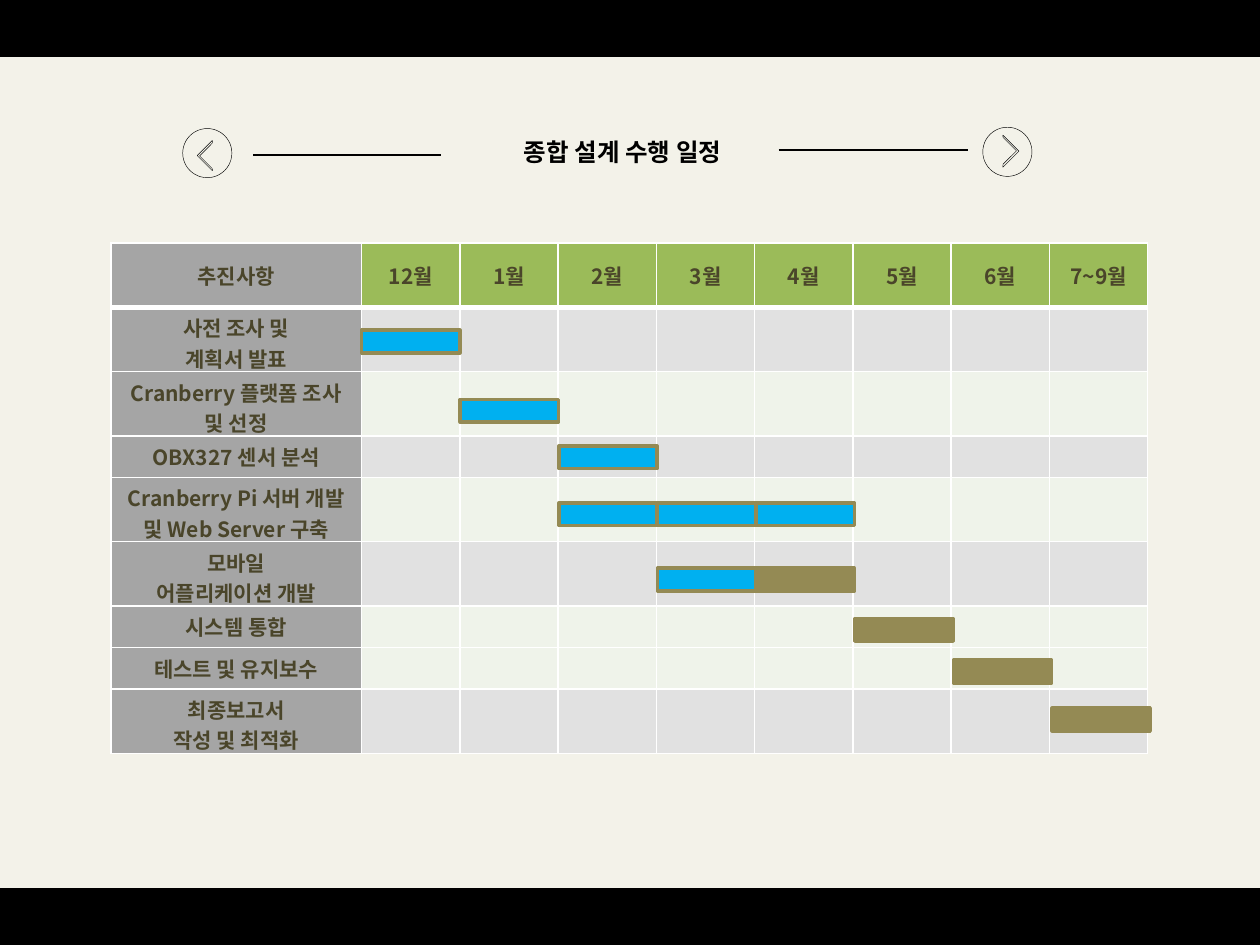
from lxml import etree
from pptx import Presentation
from pptx import util as u
from pptx.dml.color import RGBColor
from pptx.enum import shapes, text
from pptx.oxml.ns import qn

Inches = u.Inches
FONT = "Noto Sans CJK KR"
OLIVE, BLUE = "948A54", "00B0F0"
color = RGBColor.from_string


def set_font(paragraph, size, hex_color):
    font = paragraph.font
    font.size, font.bold, font.name = u.Pt(size), True, FONT
    font.color.rgb = color(hex_color)
    for run in paragraph.runs:
        run.font.size, run.font.bold, run.font.name = u.Pt(size), True, FONT
        run.font.color.rgb = color(hex_color)
        etree.SubElement(run.font._element, qn("a:ea"), typeface=FONT)


def add_box(kind, left, top, width, height, fill, line, line_width):
    shape = slide.shapes.add_shape(kind, Inches(left), Inches(top), Inches(width), Inches(height))
    shape.shadow.inherit = False
    if fill:
        shape.fill.solid()
        shape.fill.fore_color.rgb = color(fill)
    else:
        shape.fill.background()
    shape.line.color.rgb = color(line)
    shape.line.width = u.Pt(line_width)
    return shape


presentation = Presentation()
presentation.slide_width, presentation.slide_height = Inches(10), Inches(7.5)
slide = presentation.slides.add_slide(presentation.slide_layouts[6])
slide.background.fill.solid()
slide.background.fill.fore_color.rgb = color("F3F2E9")
kinds = shapes.MSO_SHAPE

# Black bands
for top in (0, 7.06):
    add_box(kinds.RECTANGLE, 0, top, 10, 0.44, "000000", "000000", 2)

# Title
title = slide.shapes.add_textbox(Inches(4.06), Inches(1.04), Inches(1.86), Inches(0.34))
title.text_frame.word_wrap = False
title.text_frame.auto_size = text.MSO_AUTO_SIZE.SHAPE_TO_FIT_TEXT
title.text_frame.text = "종합 설계 수행 일정"
set_font(title.text_frame.paragraphs[0], 14, "000000")

# Round arrow buttons
for left, top in ((1.45, 1.02), (7.8, 1.01)):
    add_box(kinds.OVAL, left, top, 0.39, 0.39, None, "000000", 0.25)
for left, top, size, rotation in ((1.6, 1.15, 0.17, 315), (7.87, 1.11, 0.18, 135)):
    chevron = add_box(kinds.HALF_FRAME, left, top, size, size, None, "000000", 0.25)
    chevron.adjustments[0], chevron.adjustments[1] = 0.09, 0.07
    chevron.rotation = rotation

# Lines beside the title
for start, end, y in ((2.01, 3.5, 1.23), (6.18, 7.68, 1.19)):
    line = slide.shapes.add_connector(
        shapes.MSO_CONNECTOR.STRAIGHT, Inches(start), Inches(y), Inches(end), Inches(y))
    line.line.color.rgb = color("000000")
    line.line.width = u.Pt(0.75)
    etree.SubElement(line._element.spPr, qn("a:effectLst"))

# Schedule table: task, row height, row fill
months = ["12월", "1월", "2월", "3월", "4월", "5월", "6월", "7~9월"]
rows = [
    ("추진사항", 0.51, "9BBB59"),
    ("사전 조사 및\n계획서 발표", 0.51, "E1E1E1"),
    ("Cranberry 플랫폼 조사 및 선정", 0.51, "EFF3EA"),
    ("OBX327 센서 분석", 0.33, "E1E1E1"),
    ("Cranberry Pi 서버 개발 및 Web Server 구축", 0.51, "EFF3EA"),
    ("모바일\n어플리케이션 개발", 0.51, "E1E1E1"),
    ("시스템 통합", 0.33, "EFF3EA"),
    ("테스트 및 유지보수", 0.33, "EFF3EA"),
    ("최종보고서\n작성 및 최적화", 0.51, "E1E1E1"),
]
table = slide.shapes.add_table(
    len(rows), 9, Inches(0.88), Inches(1.93), Inches(8.23), Inches(4.07)).table
for index, column in enumerate(table.columns):
    column.width = Inches(0.78 if index else 1.99)
for row_index, (task, height, row_fill) in enumerate(rows):
    table.rows[row_index].height = Inches(height)
    labels = [task] + (months if row_index == 0 else [""] * 8)
    for column_index, label in enumerate(labels):
        cell = table.cell(row_index, column_index)
        cell.text = label
        cell.vertical_anchor = text.MSO_ANCHOR.MIDDLE
        cell.margin_left = cell.margin_right = Inches(0.08)
        cell.margin_top = cell.margin_bottom = Inches(0.04)
        for paragraph in cell.text_frame.paragraphs:
            paragraph.alignment = text.PP_ALIGN.CENTER
            set_font(paragraph, 12, "4A452A")
            if not label:  # keeps empty rows from growing
                etree.SubElement(paragraph._p, qn("a:endParaRPr"), sz="1200")
        # White borders come before the fill
        for side in ("lnL", "lnR", "lnT", "lnB"):
            points = 3 if row_index == 0 and side == "lnB" else 1
            border = etree.SubElement(
                cell._tc.get_or_add_tcPr(), qn("a:" + side), w=str(u.Pt(points)))
            border_fill = etree.SubElement(border, qn("a:solidFill"))
            etree.SubElement(border_fill, qn("a:srgbClr"), val="FFFFFF")
        cell.fill.solid()
        cell.fill.fore_color.rgb = color(row_fill if column_index else "A5A5A5")

# Progress bars: top, first month, fill of each month
bars = [
    (2.62, 0, [BLUE]),
    (3.17, 1, [BLUE]),
    (3.54, 2, [BLUE]),
    (3.99, 2, [BLUE, BLUE, BLUE]),
    (4.51, 3, [BLUE, OLIVE]),
    (4.91, 5, [OLIVE]),
    (5.24, 6, [OLIVE]),
    (5.62, 7, [OLIVE]),
]
month_step = (8.35 - 2.87) / 7
for top, first_month, fills in bars:
    for month, fill in enumerate(fills, first_month):
        add_box(kinds.RECTANGLE, 2.87 + month * month_step, top, 0.78, 0.18, fill, OLIVE, 2)

presentation.save("out.pptx")
